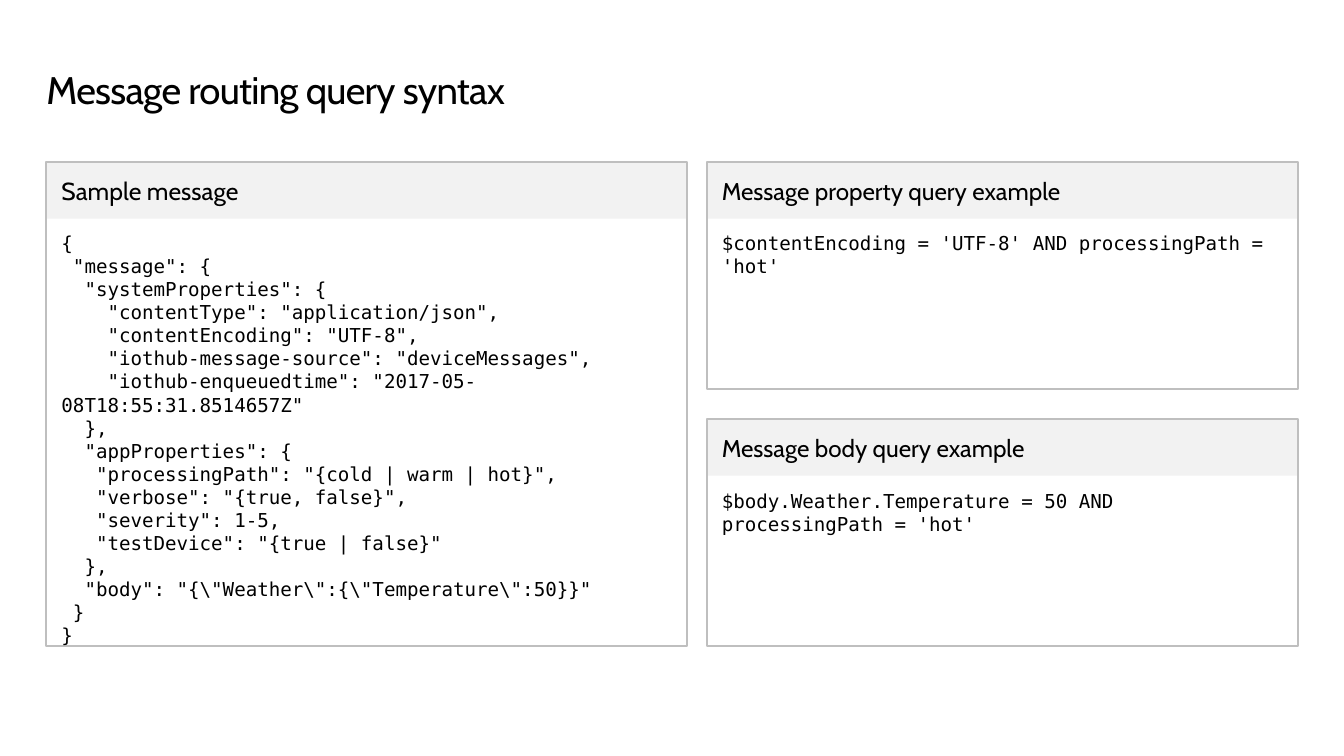
from dataclasses import dataclass

import pptx
import pptx.dml.color
import pptx.enum.shapes
import pptx.enum.text
import pptx.util

Cm = pptx.util.Cm
Pt = pptx.util.Pt
RGBColor = pptx.dml.color.RGBColor
Anchor = pptx.enum.text.MSO_ANCHOR
AutoSize = pptx.enum.text.MSO_AUTO_SIZE
LEFT_ALIGNED = pptx.enum.text.PP_ALIGN.LEFT


@dataclass(frozen=True)
class Theme:
    text_color: RGBColor = RGBColor(0x00, 0x00, 0x00)
    header_color: RGBColor = RGBColor(0xF2, 0xF2, 0xF2)
    border_color: RGBColor = RGBColor(0xBF, 0xBF, 0xBF)
    heading_font: str = "Cabin"
    code_font: str = "DejaVu Sans Mono"
    title_size: float = 27.4
    title_line_spacing: float = 31.4
    code_size: float = 13.7
    border_width: float = 1.5


@dataclass(frozen=True)
class Panel:
    """A headed code box; lengths are in centimetres."""
    heading: str
    heading_size: float
    code: str
    left: float
    top: float
    width: float
    height: float


THEME = Theme()
LEFT_EDGE, RIGHT_COLUMN = 1.17, 17.81
LEFT_WIDTH, RIGHT_WIDTH = 16.15, 14.91
TOP_ROW, BOTTOM_ROW = 4.09, 10.57
FULL_HEIGHT, HALF_HEIGHT = 12.19, 5.72
HEADER_HEIGHT = 1.42
SIDE_INSET, EDGE_INSET, CODE_INSET = 0.38, 0.25, 1.75

SAMPLE_MESSAGE = r'''{
 "message": {
  "systemProperties": {
    "contentType": "application/json",
    "contentEncoding": "UTF-8",
    "iothub-message-source": "deviceMessages",
    "iothub-enqueuedtime": "2017-05-08T18:55:31.8514657Z"
  },
  "appProperties": {
   "processingPath": "{cold | warm | hot}",
   "verbose": "{true, false}",
   "severity": 1-5,
   "testDevice": "{true | false}"
  },
  "body": "{\"Weather\":{\"Temperature\":50}}"
 }
}'''

PANELS = [
    Panel("Sample message", 17.6, SAMPLE_MESSAGE,
          LEFT_EDGE, TOP_ROW, LEFT_WIDTH, FULL_HEIGHT),
    Panel("Message property query example", 17.3,
          "$contentEncoding = 'UTF-8' AND processingPath = 'hot'",
          RIGHT_COLUMN, TOP_ROW, RIGHT_WIDTH, HALF_HEIGHT),
    Panel("Message body query example", 17.3,
          "$body.Weather.Temperature = 50 AND processingPath = 'hot'",
          RIGHT_COLUMN, BOTTOM_ROW, RIGHT_WIDTH, HALF_HEIGHT),
]


def apply_format(target, values: dict) -> None:
    for name, value in values.items():
        setattr(target, name, value)


def write_text(shape, text: str, font_name: str, size: float,
               frame_format: dict) -> None:
    """Fill a shape with left-aligned text, one paragraph per line."""
    frame = shape.text_frame
    frame.text = text
    apply_format(frame, {"word_wrap": True, **frame_format})
    for paragraph in frame.paragraphs:
        paragraph.alignment = LEFT_ALIGNED
        for run in paragraph.runs:
            apply_format(run.font, {"name": font_name, "size": Pt(size)})
            run.font.color.rgb = THEME.text_color


def insets(side: float, top: float, bottom: float) -> dict:
    return {"margin_left": Cm(side), "margin_right": Cm(side),
            "margin_top": Cm(top), "margin_bottom": Cm(bottom)}


def add_rectangle(slide, panel: Panel, height: float):
    shape = slide.shapes.add_shape(
        pptx.enum.shapes.MSO_SHAPE.RECTANGLE,
        Cm(panel.left), Cm(panel.top), Cm(panel.width), Cm(height))
    shape.shadow.inherit = False
    return shape


def add_panel(slide, panel: Panel) -> None:
    header = add_rectangle(slide, panel, HEADER_HEIGHT)
    header.fill.solid()
    header.fill.fore_color.rgb = THEME.header_color
    header.line.fill.background()
    write_text(header, panel.heading, THEME.heading_font, panel.heading_size,
               {"vertical_anchor": Anchor.MIDDLE,
                **insets(SIDE_INSET, EDGE_INSET, EDGE_INSET)})

    body = add_rectangle(slide, panel, panel.height)
    body.fill.background()
    body.line.color.rgb = THEME.border_color
    body.line.width = Pt(THEME.border_width)
    write_text(body, panel.code, THEME.code_font, THEME.code_size,
               {"vertical_anchor": Anchor.TOP,
                **insets(SIDE_INSET, CODE_INSET, EDGE_INSET)})


def format_title(title) -> None:
    apply_format(title, {"left": Cm(LEFT_EDGE), "top": Cm(1.73),
                         "width": Cm(31.52), "height": Cm(1.12)})
    write_text(title, "Message routing query syntax",
               THEME.heading_font, THEME.title_size,
               {"vertical_anchor": Anchor.TOP,
                "auto_size": AutoSize.SHAPE_TO_FIT_TEXT, **insets(0, 0, 0)})
    paragraph = title.text_frame.paragraphs[0]
    paragraph.line_spacing = Pt(THEME.title_line_spacing)
    # Letter spacing is in hundredths of a point.
    paragraph.runs[0].font._element.set("spc", "-50")


def main() -> None:
    presentation = pptx.Presentation()
    apply_format(presentation, {"slide_width": Cm(33.87),
                                "slide_height": Cm(19.05)})
    title_only = presentation.slide_layouts.get_by_name("Title Only")
    slide = presentation.slides.add_slide(title_only)
    format_title(slide.shapes.title)
    for panel in PANELS:
        add_panel(slide, panel)
    presentation.save("out.pptx")


if __name__ == "__main__":
    main()
